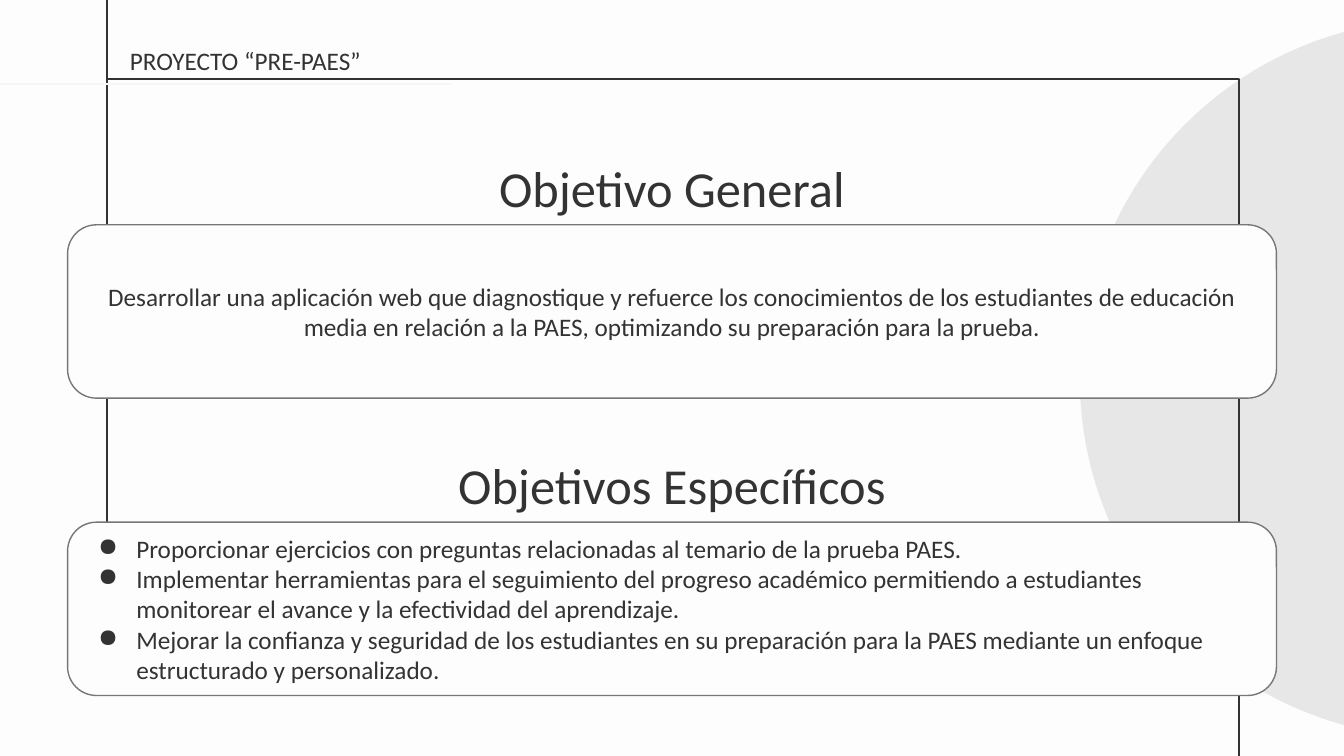
from dataclasses import dataclass

from lxml import etree
from pptx import Presentation
from pptx.dml.color import RGBColor
from pptx.enum.shapes import MSO_CONNECTOR, MSO_SHAPE
from pptx.enum.text import MSO_ANCHOR, PP_ALIGN
from pptx.oxml.ns import qn
from pptx.util import Inches, Pt

STRAIGHT = MSO_CONNECTOR.STRAIGHT
ELLIPSE = MSO_SHAPE.OVAL
RECTANGLE = MSO_SHAPE.RECTANGLE
ROUNDED = MSO_SHAPE.ROUNDED_RECTANGLE
MIDDLE = MSO_ANCHOR.MIDDLE
LEFT = PP_ALIGN.LEFT
CENTER = PP_ALIGN.CENTER


@dataclass(frozen=True)
class Theme:
    font: str = "Calibri"
    background: str = "FDFDFD"
    ink: str = "333333"
    circle: str = "E8E7E7"
    panel_border: str = "777777"
    faint_rule: str = "F5F7FC"
    heading_size: int = 36
    body_size: int = 18


THEME = Theme()
SLIDE_WIDTH, SLIDE_HEIGHT = 13.33, 7.5
FRAME_LEFT, FRAME_TOP, FRAME_WIDTH, FRAME_HEIGHT = 1.06, 0.78, 11.23, 5.94
HEADING_HEIGHT = 0.71
PANEL_OFFSET = 0.72

SECTIONS = [
    (1.51, "Objetivo General", CENTER, [
        "Desarrollar una aplicación web que diagnostique y refuerce los conocimientos de los "
        "estudiantes de educación media en relación a la PAES, optimizando su preparación "
        "para la prueba.",
    ]),
    (4.46, "Objetivos Específicos", LEFT, [
        "Proporcionar ejercicios con preguntas relacionadas al temario de la prueba PAES.",
        "Implementar herramientas para el seguimiento del progreso académico permitiendo a "
        "estudiantes monitorear el avance y la efectividad del aprendizaje.",
        "Mejorar la confianza y seguridad de los estudiantes en su preparación para la PAES "
        "mediante un enfoque estructurado y personalizado.",
    ]),
]


def color(value):
    return RGBColor.from_string(value)


def add_figure(slide, kind, left, top, width, height, fill=None, line=None, line_width=1):
    shape = slide.shapes.add_shape(kind, Inches(left), Inches(top), Inches(width), Inches(height))
    shape.shadow.inherit = False
    if fill:
        shape.fill.solid()
        shape.fill.fore_color.rgb = color(fill)
    else:
        shape.fill.background()
    if line:
        shape.line.color.rgb = color(line)
        shape.line.width = Pt(line_width)
    else:
        shape.line.fill.background()
    return shape


def add_rule(slide, start, end, line, width):
    connector = slide.shapes.add_connector(STRAIGHT, *map(Inches, start + end))
    connector.line.color.rgb = color(line)
    connector.line.width = Pt(width)
    etree.SubElement(connector._element.spPr, qn("a:effectLst"))


def set_bullet(paragraph):
    properties = paragraph._p.get_or_add_pPr()
    properties.set("marL", str(Inches(0.5)))
    properties.set("indent", str(Inches(-0.38)))
    bullet_color = etree.SubElement(properties, qn("a:buClr"))
    etree.SubElement(bullet_color, qn("a:srgbClr"), val=THEME.ink)
    etree.SubElement(properties, qn("a:buChar"), char="●")


def write_text(text_frame, texts, size, alignment=LEFT, bulleted=False):
    text_frame.word_wrap = True
    for index, text in enumerate(texts):
        paragraph = text_frame.add_paragraph() if index else text_frame.paragraphs[0]
        paragraph.text = text
        paragraph.alignment = alignment
        paragraph.font.name = THEME.font
        paragraph.font.size = Pt(size)
        paragraph.font.color.rgb = color(THEME.ink)
        if bulleted:
            set_bullet(paragraph)


def add_label(slide, left, top, width, height, text, size, alignment=LEFT):
    box = slide.shapes.add_textbox(Inches(left), Inches(top), Inches(width), Inches(height))
    write_text(box.text_frame, [text], size, alignment)


def add_panel(slide, top, texts, alignment):
    panel = add_figure(slide, ROUNDED, 0.67, top, 11.99, 1.72, THEME.background, THEME.panel_border)
    panel.text_frame.vertical_anchor = MIDDLE
    write_text(panel.text_frame, texts, THEME.body_size, alignment, bulleted=len(texts) > 1)


def add_frame(slide):
    right, bottom = FRAME_LEFT + FRAME_WIDTH, FRAME_TOP + FRAME_HEIGHT
    add_figure(slide, RECTANGLE, FRAME_LEFT, FRAME_TOP, FRAME_WIDTH, FRAME_HEIGHT,
               line=THEME.ink, line_width=1.5)
    add_rule(slide, (FRAME_LEFT, FRAME_TOP), (FRAME_LEFT, 0), THEME.ink, 1.5)
    add_rule(slide, (right, SLIDE_HEIGHT), (right, bottom), THEME.ink, 1.5)


def main():
    presentation = Presentation()
    presentation.slide_width = Inches(SLIDE_WIDTH)
    presentation.slide_height = Inches(SLIDE_HEIGHT)
    slide = presentation.slides.add_slide(presentation.slide_layouts[6])
    slide.background.fill.solid()
    slide.background.fill.fore_color.rgb = color(THEME.background)

    add_figure(slide, ELLIPSE, 10.71, 0.19, 7.13, 7.13, THEME.circle)
    add_frame(slide)
    add_rule(slide, (0, 0.83), (4.47, 0.83), THEME.faint_rule, 1.25)
    for top, heading, alignment, texts in SECTIONS:
        add_label(slide, 0, top, SLIDE_WIDTH, HEADING_HEIGHT, heading, THEME.heading_size, CENTER)
        add_panel(slide, top + PANEL_OFFSET, texts, alignment)
    add_label(slide, 1.19, 0.4, 12.1, 0.4, "PROYECTO “PRE-PAES”", THEME.body_size)

    presentation.save("out.pptx")


if __name__ == "__main__":
    main()
